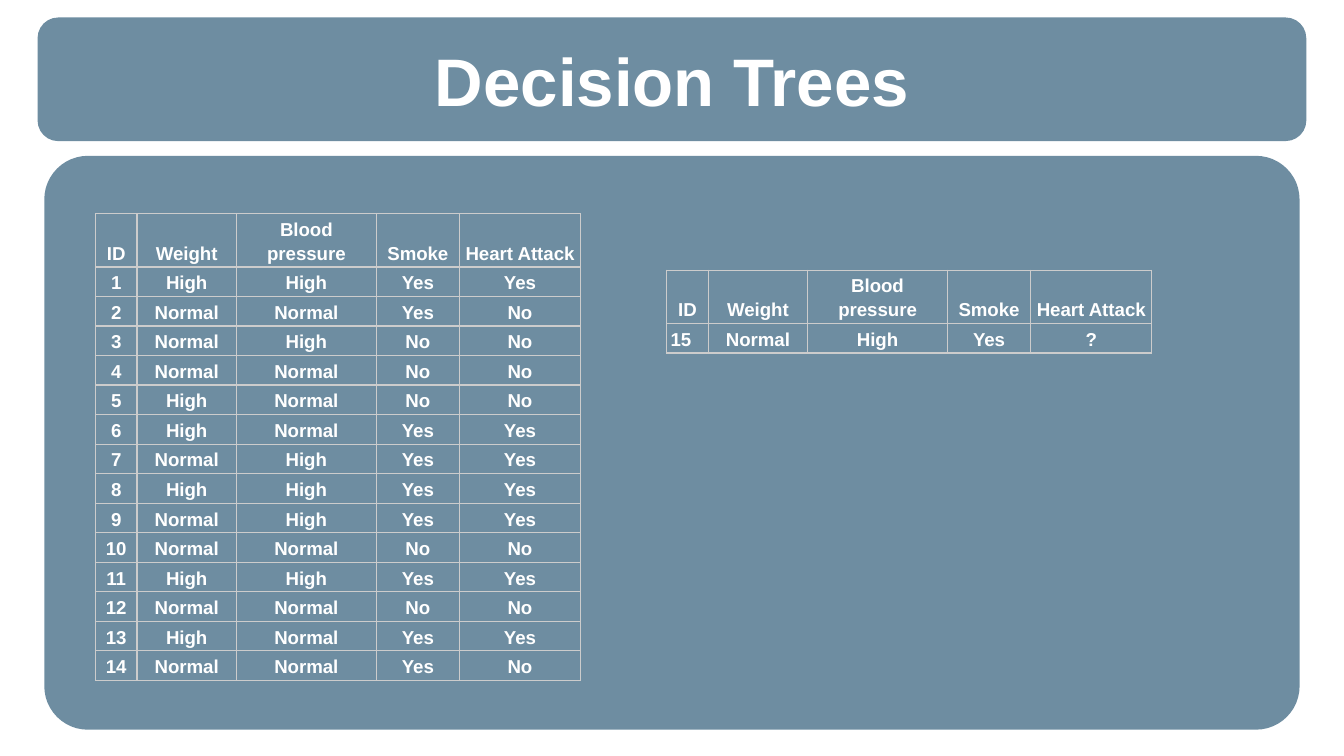
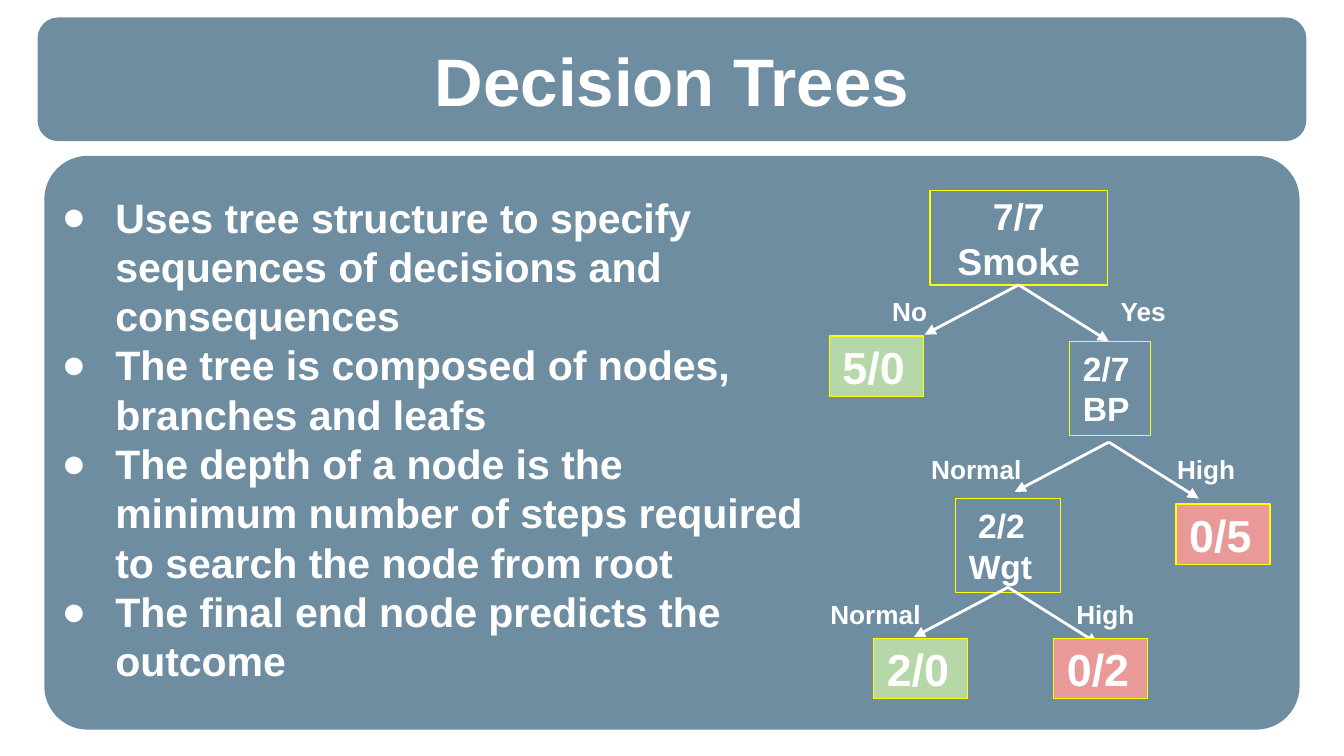
from dataclasses import dataclass
from typing import NamedTuple, Optional

from lxml import etree
from pptx import Presentation
from pptx.dml.color import RGBColor
from pptx.enum.shapes import MSO_CONNECTOR, MSO_SHAPE
from pptx.enum.text import MSO_ANCHOR, MSO_AUTO_SIZE, PP_ALIGN
from pptx.oxml.ns import qn
from pptx.util import Emu, Inches, Pt

LEFT, CENTER = PP_ALIGN.LEFT, PP_ALIGN.CENTER
TOP, MIDDLE, BOTTOM = MSO_ANCHOR.TOP, MSO_ANCHOR.MIDDLE, MSO_ANCHOR.BOTTOM
RECT, ROUND = MSO_SHAPE.RECTANGLE, MSO_SHAPE.ROUNDED_RECTANGLE
STRAIGHT = MSO_CONNECTOR.STRAIGHT

# The grid has 100 columns; rows are as high as columns are wide.
WIDTH, HEIGHT = Inches(10), Inches(5.625)
UNIT = WIDTH / 100

BAND, WHITE, YELLOW, GREY = "215170", "FFFFFF", "FFFF00", "CCCCCC"
GREEN, RED = "B6D7A8", "EA9999"

FONT = {"name": "Arial", "bold": True}
SIDES = ("margin_left", "margin_top", "margin_right", "margin_bottom")
FRAME = {"word_wrap": True, "auto_size": MSO_AUTO_SIZE.NONE,
         **dict.fromkeys(SIDES, Inches(0.1))}
CELL = {"vertical_anchor": BOTTOM,
        **dict(zip(SIDES, map(Inches, (0.03, 0.02, 0.03, 0.02))))}


class Area(NamedTuple):
    x: float
    y: float
    w: float
    h: float


@dataclass
class Band:
    area: Area
    round: float


@dataclass
class Node:
    lines: list[str]
    area: Area
    size: int
    align: PP_ALIGN = LEFT
    fill: Optional[str] = None
    shift: float = 0


@dataclass
class Label:
    text: str
    dx: float
    w: float


@dataclass
class Fork:
    x: float
    y: float
    labels: tuple[Label, Label]


BANDS = [Band(Area(2.8, 1.3, 94.4, 9.2), 0.167),
         Band(Area(3.3, 11.6, 93.4, 42.7), 0.076)]
TITLE = Area(3.3, 2.9, 93.4, 6)

COLS = (3.1, 7.4, 10.4, 6.2, 9)
HEAD_ROW, BODY_ROW = 3.9, 2.2
HEAD = ["ID", "Weight", "Blood pressure", "Smoke", "Heart Attack"]
CASES = """High High Yes Yes
Normal Normal Yes No
Normal High No No
Normal Normal No No
High Normal No No
High Normal Yes Yes
Normal High Yes Yes
High High Yes Yes
Normal High Yes Yes
Normal Normal No No
High High Yes Yes
Normal Normal No No
High Normal Yes Yes
Normal Normal Yes No"""
KNOWN = [[str(n), *case.split()] for n, case in enumerate(CASES.splitlines(), 1)]
QUERY = [["15", "Normal", "High", "Yes", "?"]]

POINTS = [
    "Uses tree structure to specify sequences of decisions and consequences",
    "The tree is composed of nodes, branches and leafs",
    "The depth of a node is the minimum number of steps required to search "
    "the node from root",
    "The final end node predicts the outcome",
]
NODES = [
    Node(["7/7", "Smoke"], Area(69.2, 14.2, 13.2, 7), 20, CENTER),
    Node(["2/7", "BP"], Area(79.6, 25.4, 6, 7), 18),
    Node(["2/2", "Wgt"], Area(71.1, 37.1, 7.8, 7), 18, shift=0.7),
]
LEVELS = (Label("Normal", -14.2, 9.8), Label("High", 4.1, 7.8))
FORKS = [
    Fork(75.8, 21.2, (Label("No", -10.4, 6), Label("Yes", 6.6, 6))),
    Fork(82.5, 32.9, LEVELS),
    Fork(75, 43.7, LEVELS),
]
ARMS = ((-7, 3.7), (6.7, 4.2))
LEAVES = [
    Node([text], Area(x, y, 7, 4.5), 24, fill=fill)
    for text, x, y, fill in (("5/0", 61.7, 25, GREEN), ("0/5", 87.5, 37.5, RED),
                             ("2/0", 65, 47.5, GREEN), ("0/2", 78.4, 47.5, RED))
]


def span(*cells: float) -> list[Emu]:
    return [Emu(round(c * UNIT)) for c in cells]


def rgb(code: str) -> RGBColor:
    return RGBColor.from_string(code)


def apply(target, values: dict) -> None:
    for name, value in values.items():
        setattr(target, name, value)


def add(parent, tag: str, **attrs: str):
    return etree.SubElement(parent, qn(tag), attrs)


def write(frame, lines: list[str], size: int, align=LEFT, anchor=TOP) -> None:
    """Fill a text frame with bold white paragraphs."""
    apply(frame, {**FRAME, "vertical_anchor": anchor})
    frame.text = "\n".join(lines)
    for para in frame.paragraphs:
        style(para, size, align)


def style(para, size: int, align) -> None:
    para.alignment = align
    for run in para.runs:
        apply(run.font, {**FONT, "size": Pt(size)})
        run.font.color.rgb = rgb(WHITE)


def note(slide, area: Area, lines: list[str], size: int):
    box = slide.shapes.add_textbox(*span(*area))
    write(box.text_frame, lines, size)
    return box.text_frame


def paint(shape, fill: Optional[str], line: Optional[str]) -> None:
    shape.shadow.inherit = False
    if fill:
        shape.fill.solid()
        shape.fill.fore_color.rgb = rgb(fill)
    else:
        shape.fill.background()
    if line:
        shape.line.color.rgb = rgb(line)
        shape.line.width = Pt(0.75)
    else:
        shape.line.fill.background()


def frame_layout(layout, slide) -> None:
    """Put the two bands behind the placeholders of the layout."""
    tree = layout.placeholders[0].element.getparent()
    for i, band in enumerate(BANDS):
        shape = slide.shapes.add_shape(ROUND, *span(*band.area))
        shape.adjustments[0] = band.round
        paint(shape, BAND, None)
        color = shape.element.spPr.find(qn("a:solidFill"))[0]
        add(color, "a:alpha", val="65000")
        shape.element.nvSpPr.cNvPr.set("id", str(20 + i))
        tree.insert(2 + i, shape.element)


def set_title(slide) -> None:
    title = slide.shapes.title
    apply(title, dict(zip(("left", "top", "width", "height"), span(*TITLE))))
    write(title.text_frame, ["Decision Trees"], 36, CENTER, MIDDLE)


def border(cell) -> None:
    props = cell._tc.get_or_add_tcPr()
    for i, tag in enumerate(("a:lnL", "a:lnR", "a:lnT", "a:lnB")):
        line = etree.Element(qn(tag), {"w": str(Pt(0.75))})
        add(add(line, "a:solidFill"), "a:srgbClr", val=GREY)
        props.insert(i, line)


def add_grid(slide, x: float, y: float, body: list[list[str]]):
    rows = [HEAD, *body]
    high = [HEAD_ROW] + [BODY_ROW] * len(body)
    area = span(x, y, sum(COLS), sum(high))
    table = slide.shapes.add_table(len(rows), len(COLS), *area).table
    apply(table, {"first_row": False, "horz_banding": False})
    for col, width in zip(table.columns, span(*COLS)):
        col.width = width
    for row, height, texts in zip(table.rows, span(*high), rows):
        row.height = height
        for cell, text in zip(row.cells, texts):
            cell.text = text
            apply(cell, CELL)
            cell.fill.background()
            border(cell)
            para = cell.text_frame.paragraphs[0]
            para.line_spacing = 1.15
            style(para, 10, CENTER)
    return table


def add_node(slide, node: Node) -> None:
    box = slide.shapes.add_shape(RECT, *span(*node.area))
    paint(box, node.fill, YELLOW)
    write(box.text_frame, node.lines, node.size, node.align, MIDDLE)
    if node.shift:
        props = box.text_frame.paragraphs[0]._p.get_or_add_pPr()
        props.set("marL", str(span(node.shift)[0]))


def add_fork(slide, fork: Fork) -> None:
    """Draw two arrows from one point, each with its label."""
    for dx, dy in ARMS:
        ends = span(fork.x, fork.y, fork.x + dx, fork.y + dy)
        arm = slide.shapes.add_connector(STRAIGHT, *ends)
        arm.line.color.rgb = rgb(WHITE)
        arm.line.width = Pt(1.5)
        add(arm.line._get_or_add_ln(), "a:tailEnd", type="triangle")
        add(arm.element.spPr, "a:effectLst")
    for label in fork.labels:
        area = Area(fork.x + label.dx, fork.y - 0.2, label.w, 4.2)
        note(slide, area, [label.text], 14)


def add_points(slide) -> None:
    frame = note(slide, Area(2.6, 13.3, 58.6, 39.7), POINTS, 22)
    for para in frame.paragraphs:
        props = para._p.get_or_add_pPr()
        apply_indent = {"marL": Inches(0.5), "indent": -Inches(0.4)}
        for name, value in apply_indent.items():
            props.set(name, str(value))
        add(add(props, "a:buClr"), "a:srgbClr", val=WHITE)
        add(props, "a:buFont", typeface="Arial")
        add(props, "a:buChar", char="●")


def main() -> None:
    deck = Presentation()
    apply(deck, {"slide_width": WIDTH, "slide_height": HEIGHT})
    layout = deck.slide_layouts[5]
    data, tree = [deck.slides.add_slide(layout) for _ in range(2)]
    frame_layout(layout, data)
    for slide in (data, tree):
        set_title(slide)

    add_grid(data, 7.1, 15.9, KNOWN)
    query = add_grid(data, 49.6, 20.1, QUERY)
    query.cell(1, 0).text_frame.paragraphs[0].alignment = LEFT

    for node, fork in zip(NODES, FORKS):
        add_node(tree, node)
        add_fork(tree, fork)
    add_points(tree)
    for leaf in LEAVES:
        add_node(tree, leaf)
    deck.save("out.pptx")


if __name__ == "__main__":
    main()
